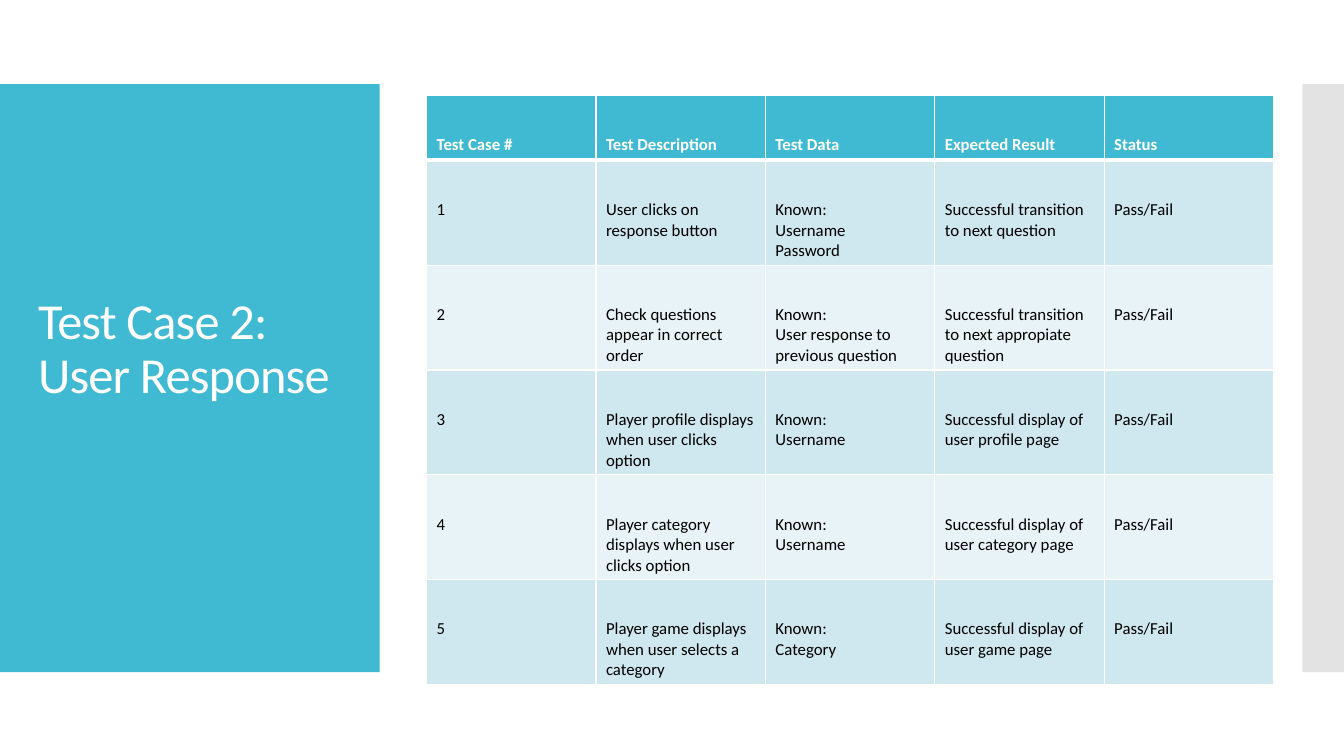
from dataclasses import dataclass

from lxml import etree
from pptx import Presentation
from pptx.dml.color import RGBColor
from pptx.enum.shapes import MSO_SHAPE
from pptx.enum.text import MSO_ANCHOR
from pptx.oxml.ns import qn
from pptx.slide import Slide
from pptx.table import _Cell
from pptx.text.text import TextFrame
from pptx.util import Cm, Pt

RECTANGLE = MSO_SHAPE.RECTANGLE
TOP = MSO_ANCHOR.TOP
MIDDLE = MSO_ANCHOR.MIDDLE


@dataclass(frozen=True)
class Theme:
    font: str = "Calibri"
    accent: str = "40BAD2"
    side: str = "C8C8C8"
    odd_row: str = "CFE7EE"
    even_row: str = "E8F3F7"
    white: str = "FFFFFF"
    black: str = "000000"
    title_size: float = 36
    table_size: float = 12
    thin_line: float = 1
    thick_line: float = 3


@dataclass(frozen=True)
class Panel:
    left: float
    width: float
    color: str
    opacity: int = 100


@dataclass(frozen=True)
class TestCase:
    description: str
    data: str
    result: str
    status: str = "Pass/Fail"


THEME = Theme()
PANEL_TOP, PANEL_HEIGHT = 2.12, 14.82
PANELS = [
    Panel(0, 9.57, THEME.accent),
    Panel(32.82, 1.05, THEME.side, opacity=50),
]
HEADINGS = ["Test Case #", "Test Description", "Test Data", "Expected Result", "Status"]
TEST_CASES = [
    TestCase("User clicks on response button", "Known:\nUsername\nPassword",
             "Successful transition to next question"),
    TestCase("Check questions appear in correct order",
             "Known:\nUser response to previous question",
             "Successful transition to next appropiate question"),
    TestCase("Player profile displays when user clicks option", "Known:\nUsername",
             "Successful display of user profile page"),
    TestCase("Player category displays when user clicks option", "Known:\nUsername",
             "Successful display of user category page"),
    TestCase("Player game displays when user selects a category", "Known:\nCategory",
             "Successful display of user game page"),
]
COLUMN_WIDTH, HEADER_HEIGHT, ROW_HEIGHT = 4.27, 1.63, 2.62
CELL_TOP_MARGIN = 0.99


def write_text(frame: TextFrame, text: str, *, size: float, color: str,
               bold: bool = False, line_spacing: float = 1.0,
               tracking: float = 0) -> None:
    """Write each line of the text as a formatted paragraph."""
    frame.word_wrap = True
    for index, line in enumerate(text.split("\n")):
        paragraph = frame.add_paragraph() if index else frame.paragraphs[0]
        paragraph.line_spacing = line_spacing
        run = paragraph.add_run()
        run.text = line
        run.font.name = THEME.font
        run.font.size = Pt(size)
        run.font.bold = bold
        run.font.color.rgb = RGBColor.from_string(color)
        if tracking:
            run.font._element.set("spc", str(round(tracking * 100)))


def draw_panel(slide: Slide, panel: Panel) -> None:
    shape = slide.shapes.add_shape(RECTANGLE, Cm(panel.left), Cm(PANEL_TOP),
                                   Cm(panel.width), Cm(PANEL_HEIGHT))
    shape.shadow.inherit = False
    shape.line.fill.background()
    shape.fill.solid()
    shape.fill.fore_color.rgb = RGBColor.from_string(panel.color)
    if panel.opacity < 100:
        color = shape._element.spPr.find(f".//{qn('a:srgbClr')}")
        etree.SubElement(color, qn("a:alpha"), val=str(panel.opacity * 1000))


def draw_title(slide: Slide, text: str) -> None:
    box = slide.shapes.add_textbox(Cm(0.71), Cm(3.12), Cm(8.18), Cm(12.78))
    frame = box.text_frame
    frame.vertical_anchor = MIDDLE
    frame.margin_bottom = Cm(1.5)
    write_text(frame, text, size=THEME.title_size, color=THEME.white,
               line_spacing=0.9, tracking=-0.6)


def set_borders(cell: _Cell, bottom_width: float) -> None:
    properties = cell._tc.get_or_add_tcPr()
    for index, side in enumerate(("lnL", "lnR", "lnT", "lnB")):
        width = bottom_width if side == "lnB" else THEME.thin_line
        line = etree.Element(qn(f"a:{side}"), w=str(Pt(width)))
        fill = etree.SubElement(line, qn("a:solidFill"))
        etree.SubElement(fill, qn("a:srgbClr"), val=THEME.white)
        properties.insert(index, line)


def fill_cell(cell: _Cell, text: str, *, fill: str, color: str,
              bold: bool = False, bottom_width: float = THEME.thin_line) -> None:
    cell.fill.solid()
    cell.fill.fore_color.rgb = RGBColor.from_string(fill)
    cell.vertical_anchor = TOP
    cell.margin_top = Cm(CELL_TOP_MARGIN)
    write_text(cell.text_frame, text, size=THEME.table_size, color=color, bold=bold)
    set_borders(cell, bottom_width)


def draw_table(slide: Slide) -> None:
    frame = slide.shapes.add_table(
        len(TEST_CASES) + 1, len(HEADINGS), Cm(10.75), Cm(2.41),
        Cm(COLUMN_WIDTH * len(HEADINGS)),
        Cm(HEADER_HEIGHT + ROW_HEIGHT * len(TEST_CASES)))
    table = frame.table
    for column in table.columns:
        column.width = Cm(COLUMN_WIDTH)
    for index, row in enumerate(table.rows):
        row.height = Cm(ROW_HEIGHT if index else HEADER_HEIGHT)

    # Header row
    for column, heading in enumerate(HEADINGS):
        fill_cell(table.cell(0, column), heading, fill=THEME.accent,
                  color=THEME.white, bold=True, bottom_width=THEME.thick_line)

    # Numbered test cases in alternating colours
    for number, case in enumerate(TEST_CASES, start=1):
        fill = THEME.odd_row if number % 2 else THEME.even_row
        values = (str(number), case.description, case.data, case.result, case.status)
        for column, value in enumerate(values):
            fill_cell(table.cell(number, column), value, fill=fill, color=THEME.black)


def main() -> None:
    presentation = Presentation()
    presentation.slide_width = Cm(33.87)
    presentation.slide_height = Cm(19.05)
    slide = presentation.slides.add_slide(presentation.slide_layouts[6])

    # Side panels
    for panel in PANELS:
        draw_panel(slide, panel)

    # Title and test table
    draw_title(slide, "Test Case 2:\nUser Response")
    draw_table(slide)
    presentation.save("out.pptx")


main()
